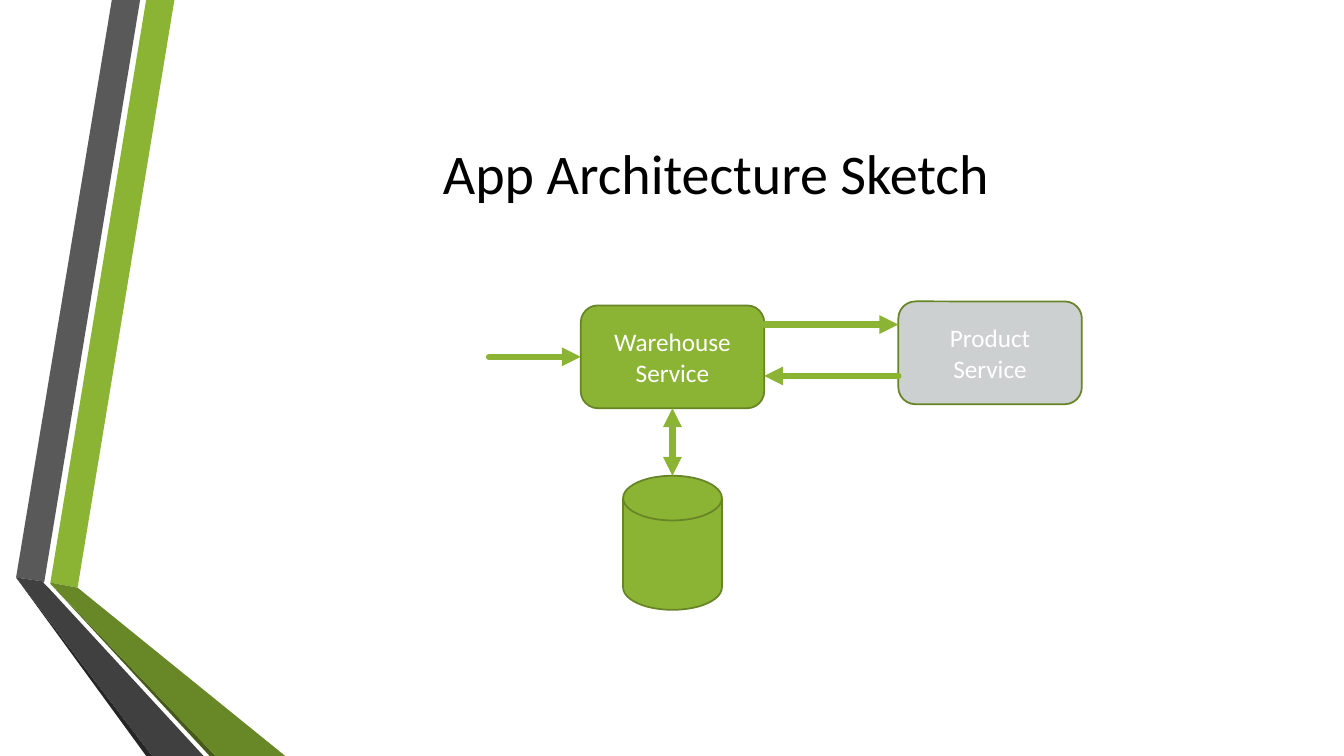
import pptx
import pptx.util
import pptx.dml.color
import pptx.enum.shapes
import pptx.enum.text
import pptx.oxml
import pptx.oxml.ns

Inches, Pt = pptx.util.Inches, pptx.util.Pt
SHAPE = pptx.enum.shapes.MSO_SHAPE
FONT = "Calibri"
COLORS = {
    "green": "8BB434", "green_edge": "678526", "green_fold": "688727",
    "green_shade": "465A1A", "gray": "595959", "gray_fold": "404040",
    "gray_shade": "262626", "silver": "CDD0D1", "white": "FFFFFF", "black": "000000",
}
RIBBONS = [
    ("green", [(0.5, 5.78), (0.77, 5.83), (1.73, 0), (1.45, 0)]),
    ("gray", [(1.39, 0), (1.11, 0), (0.16, 5.73), (0.44, 5.77)]),
    ("gray_shade", [(0.16, 5.73), (1.45, 7.5), (1.51, 7.5)]),
    ("green_shade", [(0.5, 5.79), (2.08, 7.5), (2.14, 7.5)]),
    ("green_fold", [(0.5, 5.79), (2.14, 7.5), (2.83, 7.5), (0.77, 5.83), (0.5, 5.78)]),
    ("gray_fold", [(2.02, 7.5), (0.48, 5.83), (0.43, 5.78), (0.44, 5.77),
                   (0.16, 5.73), (1.51, 7.5)]),
]


def rgb(name):
    return pptx.dml.color.RGBColor.from_string(COLORS[name])


def paint(sp, fill, edge=None):
    sp.shadow.inherit = False
    sp.fill.solid()
    sp.fill.fore_color.rgb = rgb(fill)
    if edge:
        sp.line.color.rgb = rgb(edge)
        sp.line.width = Pt(1.25)
    else:
        sp.line.fill.background()


def write(sp, lines, size, color):
    tf = sp.text_frame
    tf.word_wrap = True
    tf.vertical_anchor = pptx.enum.text.MSO_ANCHOR.MIDDLE
    for i, line in enumerate(lines):
        p = tf.paragraphs[0] if i == 0 else tf.add_paragraph()
        p.text = line
        p.alignment = pptx.enum.text.PP_ALIGN.CENTER
        p.font.name, p.font.size = FONT, Pt(size)
        p.font.color.rgb = rgb(color)


def add_ribbons(s, left, top):
    for color, points in RIBBONS:
        corners = [(Inches(left + x), Inches(top + y)) for x, y in points]
        builder = s.shapes.build_freeform(*corners[0])
        builder.add_line_segments(corners[1:], close=True)
        paint(builder.convert_to_shape(), color)


def add_title(s, left, top, width, height):
    sp = s.shapes.add_textbox(*map(Inches, (left, top, width, height)))
    write(sp, ["App Architecture Sketch"], 40, "black")


def add_node(s, kind, box, fill, lines=()):
    sp = s.shapes.add_shape(kind, *map(Inches, box))
    paint(sp, fill, "green_edge")
    write(sp, lines, 18, "white")


def add_arrow(s, start, end, both=False):
    cx = s.shapes.add_connector(pptx.enum.shapes.MSO_CONNECTOR.STRAIGHT,
                                *map(Inches, start + end))
    cx.line.color.rgb = rgb("green")
    cx.line.width = Pt(4.5)
    ln = cx.line._get_or_add_ln()
    ln.set("cap", "rnd")
    for tag in ["a:headEnd", "a:tailEnd"] if both else ["a:tailEnd"]:
        tip = pptx.oxml.parse_xml(f"<{tag} {pptx.oxml.ns.nsdecls('a')} type='triangle'/>")
        ln.append(tip)
    cx._element.spPr.append(
        pptx.oxml.parse_xml(f"<a:effectLst {pptx.oxml.ns.nsdecls('a')}/>"))


def add_architecture(s, left, top):
    """Draw the two services, the database and the calls between them."""
    node_w, node_h, disk_w, disk_h = 1.82, 1.02, 0.98, 1.33
    warehouse_x, warehouse_y = left + 0.91, top + 0.04
    warehouse_right, warehouse_bottom = warehouse_x + node_w, warehouse_y + node_h
    product_x = left + 4.06
    center_x, center_y = warehouse_x + node_w / 2, warehouse_y + node_h / 2
    disk_y = top + 1.73

    add_node(s, SHAPE.ROUNDED_RECTANGLE, (warehouse_x, warehouse_y, node_w, node_h),
             "green", ["Warehouse", "Service"])
    add_node(s, SHAPE.ROUNDED_RECTANGLE, (product_x, top, node_w, node_h),
             "silver", ["Product", "Service"])
    request_y, reply_y = top + 0.23, top + 0.74
    add_arrow(s, (warehouse_right, request_y), (product_x, request_y))
    add_arrow(s, (product_x, reply_y), (warehouse_right, reply_y))
    add_node(s, SHAPE.FLOWCHART_MAGNETIC_DISK,
             (center_x - disk_w / 2, disk_y, disk_w, disk_h), "green")
    add_arrow(s, (center_x, warehouse_bottom), (center_x, disk_y), both=True)
    add_arrow(s, (left, center_y), (warehouse_x, center_y))


def main():
    prs = pptx.Presentation()
    prs.slide_width, prs.slide_height = Inches(13.33), Inches(7.5)
    s = prs.slides.add_slide(prs.slide_layouts[6])
    add_ribbons(s, 0, 0)
    add_title(s, 1.62, 0.75, 10.96, 1.92)
    add_architecture(s, 4.85, 2.99)
    prs.save("out.pptx")


if __name__ == "__main__":
    main()
